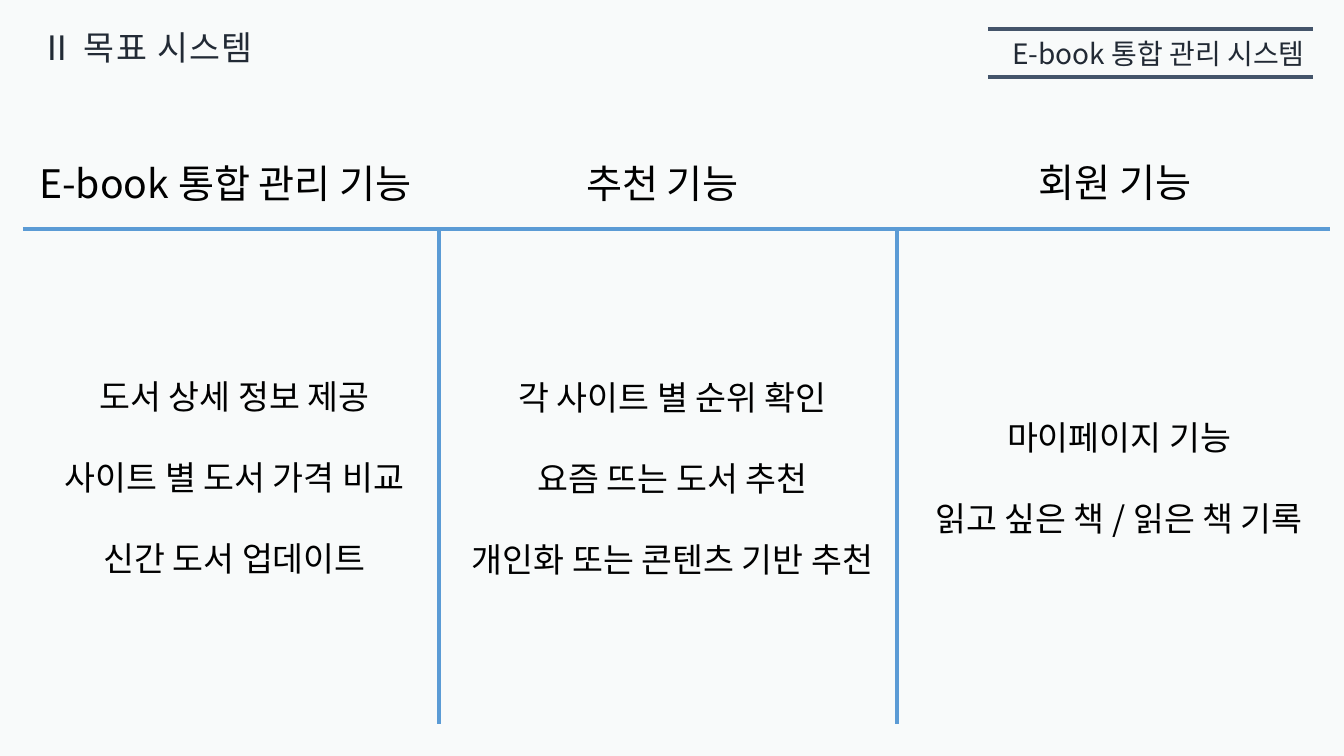
from lxml import etree
from pptx import Presentation
from pptx.dml.color import RGBColor
from pptx.enum.shapes import MSO_CONNECTOR
from pptx.enum.text import MSO_ANCHOR, MSO_AUTO_SIZE, PP_ALIGN
from pptx.oxml.ns import qn
from pptx.util import Pt

STRAIGHT = MSO_CONNECTOR.STRAIGHT
TOP = MSO_ANCHOR.TOP
GROW = MSO_AUTO_SIZE.SHAPE_TO_FIT_TEXT
LEFT, CENTER = PP_ALIGN.LEFT, PP_ALIGN.CENTER

BACKGROUND = RGBColor(0xF8, 0xFA, 0xFA)
NAVY = RGBColor(0x22, 0x2A, 0x35)
SLATE = RGBColor(0x44, 0x54, 0x6A)
BLUE = RGBColor(0x5B, 0x9B, 0xD5)
BLACK = RGBColor(0, 0, 0)

FONT = "Noto Sans CJK KR"
EMU_PER_PX = 914400 / 100.8
WIDTH, HEIGHT = 1344, 756
TITLE_ONLY = 5

HEADER_LEFT, HEADER_RIGHT = 988, 1313
HEADER_RULES = (29, 77)
TABLE_LEFT, TABLE_RIGHT = 23, 1330
TABLE_TOP, TABLE_BOTTOM = 229, 724
DIVIDERS = (439, 897)

# Heading, heading box, items, items box; boxes are left, top, width, height.
COLUMNS = [
    ("E-book 통합 관리 기능", (10, 107, 431, 92),
     ["도서 상세 정보 제공", "사이트 별 도서 가격 비교", "신간 도서 업데이트"],
     (42, 331, 385, 243)),
    ("추천 기능", (571, 107, 183, 92),
     ["각 사이트 별 순위 확인", "요즘 뜨는 도서 추천", "개인화 또는 콘텐츠 기반 추천"],
     (447, 332, 451, 243)),
    ("회원 기능", (1023, 106, 184, 92),
     ["마이페이지 기능", "읽고 싶은 책 / 읽은 책 기록"],
     (909, 372, 420, 161)),
]


def px(length):
    return round(length * EMU_PER_PX)


class SlideBuilder:
    """Holds the slide and draws elements in its style, with lengths in px."""

    def __init__(self, presentation):
        layout = presentation.slide_layouts[TITLE_ONLY]
        self.slide = presentation.slides.add_slide(layout)
        fill = self.slide.background.fill
        fill.solid()
        fill.fore_color.rgb = BACKGROUND

    def title(self, text, box):
        shape = self.slide.shapes.title
        shape.left, shape.top, shape.width, shape.height = map(px, box)
        self.set_text(shape, [text], 24, NAVY, LEFT, 1.0, tracking=1)

    def text(self, lines, box, size, color=BLACK, spacing=2.0):
        shape = self.slide.shapes.add_textbox(*map(px, box))
        self.set_text(shape, lines, size, color, CENTER, spacing)

    def set_text(self, shape, lines, size, color, alignment, spacing,
                 tracking=0):
        """Fill a shape with one paragraph per line; tracking is in points."""
        frame = shape.text_frame
        frame.word_wrap = True
        frame.auto_size = GROW
        frame.vertical_anchor = TOP
        frame.text = "\n".join(lines)
        for paragraph in frame.paragraphs:
            paragraph.alignment = alignment
            paragraph.line_spacing = spacing
            paragraph.space_before = Pt(0)
            font = paragraph.font
            font.size = Pt(size)
            font.name = FONT
            font.color.rgb = color
            properties = paragraph._p.pPr.find(qn("a:defRPr"))
            etree.SubElement(properties, qn("a:ea")).set("typeface", FONT)
            if tracking:
                properties.set("spc", str(tracking * 100))

    def line(self, start, end, color, width):
        connector = self.slide.shapes.add_connector(
            STRAIGHT, *map(px, start + end))
        connector.line.color.rgb = color
        connector.line.width = Pt(width)
        etree.SubElement(connector._element.spPr, qn("a:effectLst"))


def main():
    presentation = Presentation()
    presentation.slide_width = px(WIDTH)
    presentation.slide_height = px(HEIGHT)
    builder = SlideBuilder(presentation)

    builder.title("Ⅱ 목표 시스템", (30, 22, 385, 50))
    builder.text(["E-book 통합 관리 시스템"], (HEADER_LEFT, 32, 341, 44),
                 20, NAVY, spacing=1.0)
    for y in HEADER_RULES:
        builder.line((HEADER_LEFT, y), (HEADER_RIGHT, y), SLATE, 2.75)

    for heading, heading_box, items, items_box in COLUMNS:
        builder.text([heading], heading_box, 28)
        builder.text(items, items_box, 24)

    for x in DIVIDERS:
        builder.line((x, TABLE_TOP), (x, TABLE_BOTTOM), BLUE, 3)
    builder.line((TABLE_LEFT, TABLE_TOP), (TABLE_RIGHT, TABLE_TOP), BLUE, 3)

    presentation.save("out.pptx")


if __name__ == "__main__":
    main()
